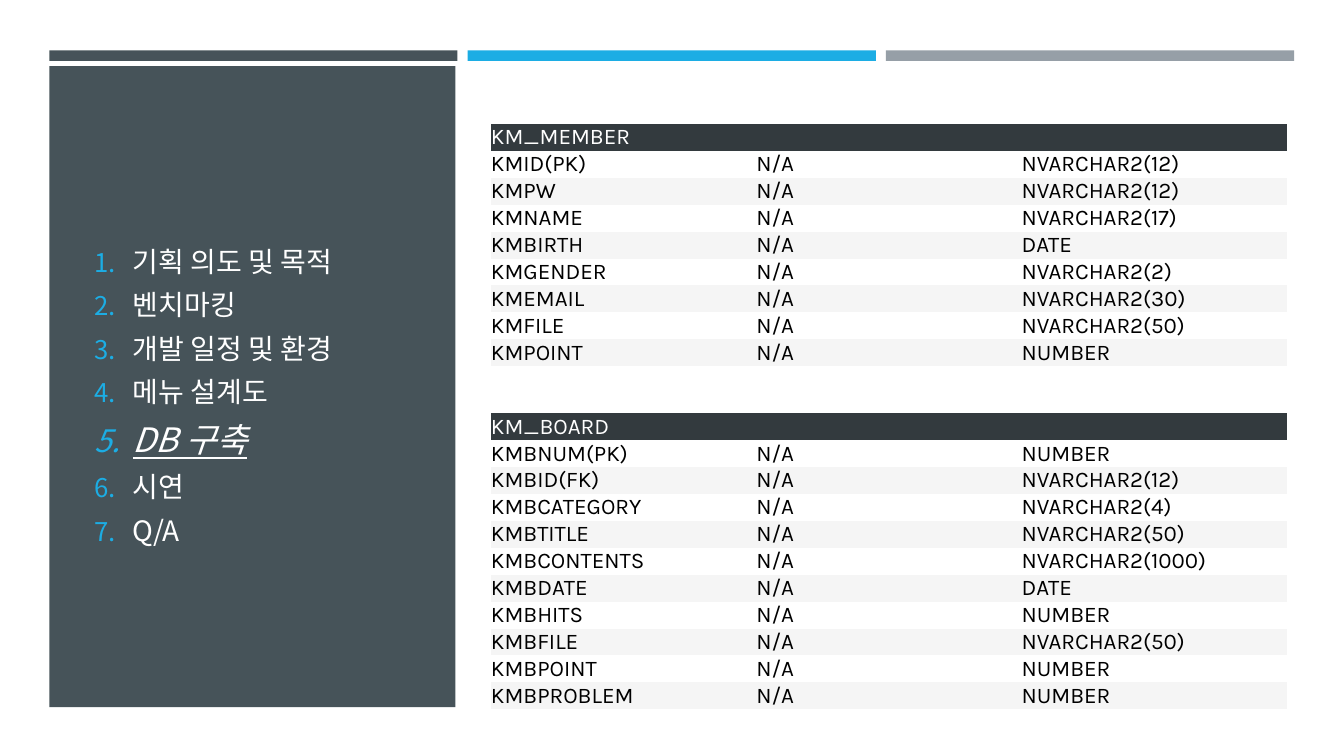
from lxml import etree
from pptx import Presentation
from pptx.dml.color import RGBColor
from pptx.enum.shapes import MSO_SHAPE
from pptx.enum.text import MSO_ANCHOR
from pptx.oxml.ns import qn
from pptx.util import Pt

RECT = MSO_SHAPE.RECTANGLE
MIDDLE = MSO_ANCHOR.MIDDLE

SLATE, BLUE, GRAY = "465359", "1CADE4", "969FA7"
HEADER, BAND, WHITE, BLACK = "333A3E", "F5F5F5", "FFFFFF", "000000"
AGENDA_FONT, TABLE_FONT = "Noto Sans CJK KR", "Karla"
PLAIN_TABLE_STYLE = "{2D5ABB26-0587-4C30-8999-92F81FD0307C}"

AGENDA = ["기획 의도 및 목적", "벤치마킹", "개발 일정 및 환경", "메뉴 설계도",
          "DB 구축", "시연", "Q/A"]
CURRENT = "DB 구축"

# Each table: name, top, columns with their types
TABLES = [
    ("KM_MEMBER", 88.6, [
        ("KMID(PK)", "NVARCHAR2(12)"),
        ("KMPW", "NVARCHAR2(12)"),
        ("KMNAME", "NVARCHAR2(17)"),
        ("KMBIRTH", "DATE"),
        ("KMGENDER", "NVARCHAR2(2)"),
        ("KMEMAIL", "NVARCHAR2(30)"),
        ("KMFILE", "NVARCHAR2(50)"),
        ("KMPOINT", "NUMBER"),
    ]),
    ("KM_BOARD", 295.2, [
        ("KMBNUM(PK)", "NUMBER"),
        ("KMBID(FK)", "NVARCHAR2(12)"),
        ("KMBCATEGORY", "NVARCHAR2(4)"),
        ("KMBTITLE", "NVARCHAR2(50)"),
        ("KMBCONTENTS", "NVARCHAR2(1000)"),
        ("KMBDATE", "DATE"),
        ("KMBHITS", "NUMBER"),
        ("KMBFILE", "NVARCHAR2(50)"),
        ("KMBPOINT", "NUMBER"),
        ("KMBPROBLEM", "NUMBER"),
    ]),
]
TABLE_LEFT, COLUMN_WIDTH, ROW_HEIGHT, TABLE_SIZE = 350.7, 189.5, 18.75, 16
BAR_LEFT, BAR_TOP, BAR_WIDTH, BAR_HEIGHT, BAR_STEP = 35.2, 36, 291.6, 7.5, 298.8


def paint(fill, color):
    """Make a fill solid in a hex colour."""
    fill.solid()
    fill.fore_color.rgb = RGBColor.from_string(color)


def add_block(page, left, top, width, height, color):
    """Add a plain filled rectangle."""
    block = page.shapes.add_shape(RECT, Pt(left), Pt(top), Pt(width), Pt(height))
    block.shadow.inherit = False
    block.line.fill.background()
    paint(block.fill, color)


def style_span(span, font, size, color):
    """Set the typeface, size and colour of a run."""
    span.font.size = Pt(size)
    paint(span.font.fill, color)
    span.font.name = font
    etree.SubElement(span.font._element, qn("a:ea"), typeface=font)


def number_para(para):
    """Give a paragraph a coloured automatic number."""
    props = para._p.get_or_add_pPr()
    props.set("marL", str(Pt(27.36)))
    props.set("indent", str(-Pt(27.36)))
    color = etree.SubElement(props, qn("a:buClr"))
    etree.SubElement(color, qn("a:srgbClr"), val=BLUE)
    etree.SubElement(props, qn("a:buSzPct"), val="92000")
    etree.SubElement(props, qn("a:buAutoNum"), type="arabicPeriod")


def add_agenda(page):
    """Add the numbered agenda with the current item emphasised."""
    box = page.shapes.add_textbox(Pt(60.5), Pt(103), Pt(239), Pt(356.4))
    frame = box.text_frame
    frame.word_wrap = True
    frame.vertical_anchor = MIDDLE
    frame.text = "\n".join(AGENDA)
    for para in frame.paragraphs:
        para.line_spacing = 1.1
        para.space_before = Pt(0)
        para.space_after = Pt(4.75)
        number_para(para)
        current = para.text == CURRENT
        span = para.runs[0]
        style_span(span, AGENDA_FONT, 24 if current else 20, WHITE)
        if current:
            span.font.italic = True
            span.font.underline = True


def fill_cell(cell, text, fill, color):
    """Write one table cell without margins."""
    cell.margin_left = cell.margin_right = cell.margin_top = cell.margin_bottom = 0
    cell.vertical_anchor = MIDDLE
    paint(cell.fill, fill)
    para = cell.text_frame.paragraphs[0]
    para.text = text
    for span in para.runs:
        style_span(span, TABLE_FONT, TABLE_SIZE, color)
    if not text:
        end = etree.SubElement(para._p, qn("a:endParaRPr"), sz=str(TABLE_SIZE * 100))
        etree.SubElement(end, qn("a:latin"), typeface=TABLE_FONT)


def add_schema(page, name, top, fields):
    """Add the table that describes one database table."""
    rows = [(name, "", "")] + [(field, "N/A", kind) for field, kind in fields]
    table = page.shapes.add_table(
        len(rows), 3, Pt(TABLE_LEFT), Pt(top),
        Pt(3 * COLUMN_WIDTH), Pt(len(rows) * ROW_HEIGHT)).table
    table._tbl.tblPr.find(qn("a:tableStyleId")).text = PLAIN_TABLE_STYLE
    table.horz_banding = False
    for column in table.columns:
        column.width = Pt(COLUMN_WIDTH)
    for r, values in enumerate(rows):
        table.rows[r].height = Pt(ROW_HEIGHT)
        fill = HEADER if r == 0 else WHITE if r % 2 else BAND
        for c, text in enumerate(values):
            fill_cell(table.cell(r, c), text, fill, BLACK if r else WHITE)
    table.cell(0, 1).merge(table.cell(0, 2))


deck = Presentation()
deck.slide_width, deck.slide_height = Pt(960), Pt(540)
page = deck.slides.add_slide(deck.slide_layouts[6])

for i, color in enumerate((SLATE, BLUE, GRAY)):
    add_block(page, BAR_LEFT + i * BAR_STEP, BAR_TOP, BAR_WIDTH, BAR_HEIGHT, color)
add_block(page, BAR_LEFT, 47.3, 290, 457.8, SLATE)
add_agenda(page)
for name, top, fields in TABLES:
    add_schema(page, name, top, fields)

deck.save("out.pptx")
